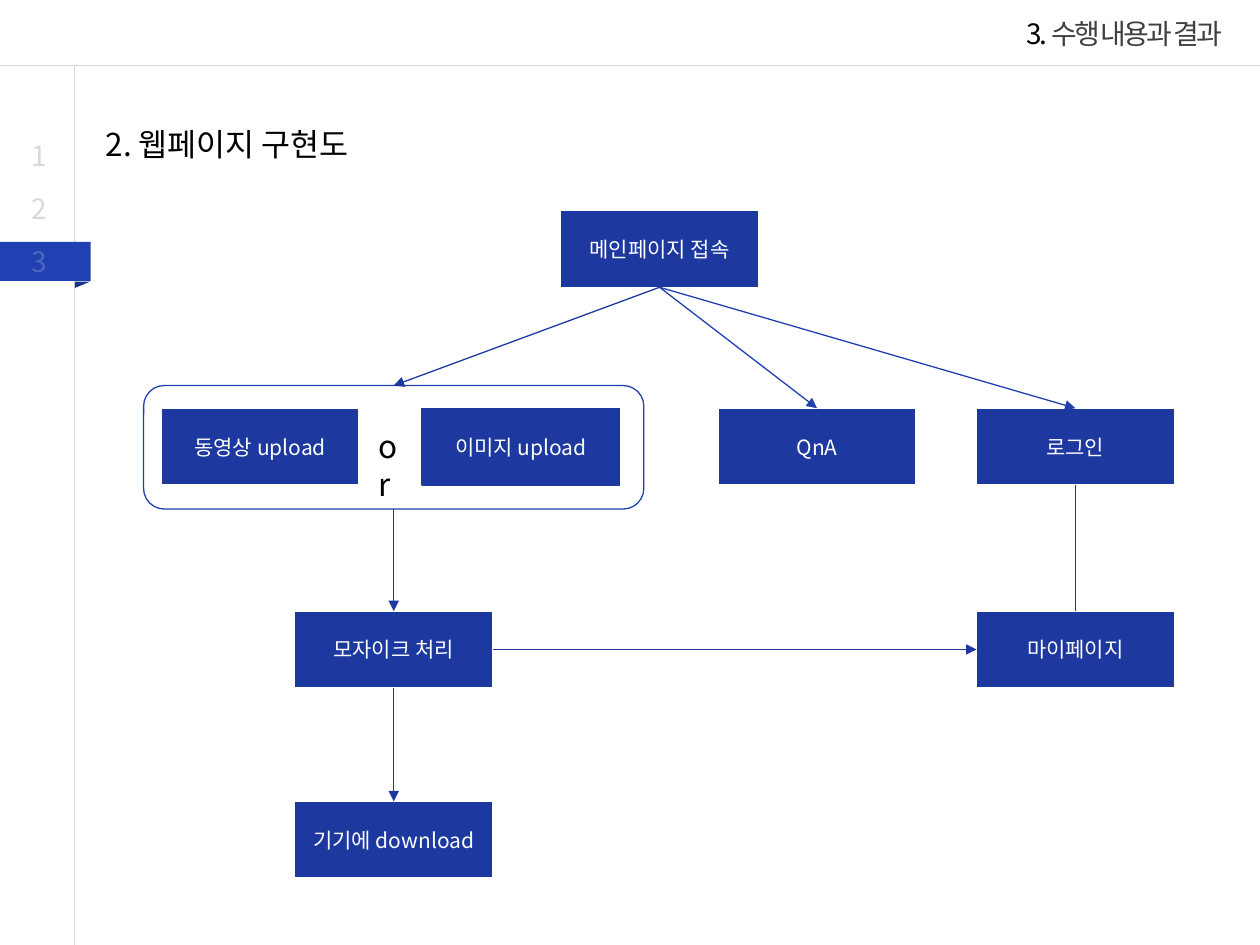
from dataclasses import dataclass

from lxml.etree import SubElement
from pptx import Presentation
from pptx.dml.color import RGBColor
from pptx.enum.shapes import MSO_CONNECTOR, MSO_SHAPE
from pptx.enum.text import MSO_ANCHOR, MSO_AUTO_SIZE, PP_ALIGN
from pptx.oxml.ns import qn
from pptx.util import Inches, Pt

FONT = "Noto Sans CJK KR"
NAVY = "1D399F"
BLUE = "2140B1"
WHITE = "FFFFFF"
GRAY = "D9D9D9"
BLACK = "000000"
BOX_WIDTH, BOX_HEIGHT = 1.57, 0.61


@dataclass
class Box:
    label: str
    left: float
    top: float
    border: str = WHITE

    @property
    def center(self) -> float:
        return self.left + BOX_WIDTH / 2

    @property
    def middle(self) -> float:
        return self.top + BOX_HEIGHT / 2

    @property
    def bottom(self) -> float:
        return self.top + BOX_HEIGHT

    @property
    def right(self) -> float:
        return self.left + BOX_WIDTH


@dataclass
class Link:
    start: tuple[float, float]
    end: tuple[float, float]
    color: str = NAVY
    arrow: bool = True


def color_of(value: str) -> RGBColor:
    return RGBColor.from_string(value)


def format_run(run, size: float, color: str, spacing: float = 0) -> None:
    run.font.name = FONT
    run.font.size = Pt(size)
    run.font.color.rgb = color_of(color)
    properties = run.font._element
    SubElement(properties, qn("a:ea")).set("typeface", FONT)
    if spacing:
        properties.set("spc", str(int(spacing * 100)))


def add_shape(slide, kind, bounds: tuple, fill: str | None, border: str | None = None):
    shape = slide.shapes.add_shape(kind, *map(Inches, bounds))
    shape.shadow.inherit = False
    if fill:
        shape.fill.solid()
        shape.fill.fore_color.rgb = color_of(fill)
    else:
        shape.fill.background()
    if border:
        shape.line.color.rgb = color_of(border)
        shape.line.width = Pt(0.75)
    else:
        shape.line.fill.background()
    return shape


def add_box(slide, box: Box) -> None:
    bounds = (box.left, box.top, BOX_WIDTH, BOX_HEIGHT)
    shape = add_shape(slide, MSO_SHAPE.RECTANGLE, bounds, NAVY, box.border)
    text_frame = shape.text_frame
    text_frame.margin_left = text_frame.margin_right = Inches(0.1)
    text_frame.margin_top = text_frame.margin_bottom = Inches(0.1)
    text_frame.vertical_anchor = MSO_ANCHOR.MIDDLE
    text_frame.text = box.label
    paragraph = text_frame.paragraphs[0]
    paragraph.alignment = PP_ALIGN.CENTER
    format_run(paragraph.runs[0], 12, WHITE)


def add_text(slide, text: str, bounds: tuple, size: float, color: str,
             alignment=PP_ALIGN.LEFT, spacing: float = 0):
    text_frame = slide.shapes.add_textbox(*map(Inches, bounds)).text_frame
    text_frame.word_wrap = True
    text_frame.auto_size = MSO_AUTO_SIZE.SHAPE_TO_FIT_TEXT
    text_frame.text = text
    paragraph = text_frame.paragraphs[0]
    paragraph.alignment = alignment
    format_run(paragraph.runs[0], size, color, spacing)
    return paragraph


def add_link(slide, link: Link) -> None:
    points = map(Inches, (*link.start, *link.end))
    connector = slide.shapes.add_connector(MSO_CONNECTOR.STRAIGHT, *points)
    connector.line.color.rgb = color_of(link.color)
    connector.line.width = Pt(0.75)
    if link.arrow:
        line = connector.line._get_or_add_ln()
        SubElement(line, qn("a:tailEnd")).set("type", "triangle")
    SubElement(connector._element.spPr, qn("a:effectLst"))


def add_frame(slide) -> None:
    add_link(slide, Link((-0.35, 0.52), (10.28, 0.52), GRAY, False))
    add_link(slide, Link((0.59, 0.52), (0.59, 7.83), GRAY, False))
    add_shape(slide, MSO_SHAPE.RECTANGLE, (-0.03, 1.92, 0.75, 0.31), BLUE)
    fold = add_shape(slide, MSO_SHAPE.RIGHT_TRIANGLE, (0.63, 2.2, 0.05, 0.12), "193189")
    fold.rotation = 90
    for number, color, spacing in (("1", GRAY, -1.5), ("2", GRAY, -1.5), ("3", WHITE, 0)):
        bounds = (-0.03, 1.05 + 0.42 * (int(number) - 1), 0.69, 0.37)
        paragraph = add_text(slide, number, bounds, 16, color, PP_ALIGN.CENTER, spacing)
    current_color = paragraph.runs[0].font._element.find(".//" + qn("a:srgbClr"))
    SubElement(current_color, qn("a:alpha")).set("val", "20000")
    header = add_text(slide, "3. ", (6.65, 0.08, 3.15, 0.37), 16, BLACK, PP_ALIGN.RIGHT, -1.5)
    title = header.add_run()
    title.text = "수행 내용과 결과"
    format_run(title, 16, "404040", -1.5)
    add_text(slide, "2. 웹페이지 구현도", (0.74, 0.94, 2.69, 0.4), 18, BLACK)


def add_flow(slide) -> None:
    upload_row, process_row = 3.24, 4.85
    main_page = Box("메인페이지 접속", 4.45, 1.67)
    mosaic = Box("모자이크 처리", 2.34, process_row)
    download = Box("기기에 download", 2.34, 6.36)
    questions = Box("QnA", 5.7, upload_row)
    login = Box("로그인", 7.75, upload_row)
    my_page = Box("마이페이지", 7.75, process_row)
    video = Box("동영상 upload", 1.28, upload_row)
    image = Box("이미지 upload", 3.35, upload_row, NAVY)
    for box in (main_page, mosaic, download, questions, login, my_page, video, image):
        add_box(slide, box)

    group_top, group_height = 3.06, 0.98
    add_shape(slide, MSO_SHAPE.ROUNDED_RECTANGLE, (1.14, group_top, 3.97, group_height), None, BLUE)
    add_text(slide, "or", (2.91, 3.34, 0.44, 0.4), 18, BLACK)

    origin = (main_page.center, main_page.bottom)
    links = (
        Link(origin, (questions.center, questions.top), BLUE),
        Link(origin, (login.center, login.top), BLUE),
        Link(origin, (mosaic.center, group_top)),
        Link((login.center, login.bottom), (my_page.center, my_page.top), arrow=False),
        Link((mosaic.center, mosaic.bottom), (download.center, download.top)),
        Link((mosaic.right, mosaic.middle), (my_page.left, my_page.middle)),
        Link((mosaic.center, group_top + group_height), (mosaic.center, mosaic.top)),
    )
    for link in links:
        add_link(slide, link)


def main() -> None:
    presentation = Presentation()
    presentation.slide_width = Inches(10)
    presentation.slide_height = Inches(7.5)
    slide = presentation.slides.add_slide(presentation.slide_layouts[6])
    add_frame(slide)
    add_flow(slide)
    presentation.save("out.pptx")


if __name__ == "__main__":
    main()
